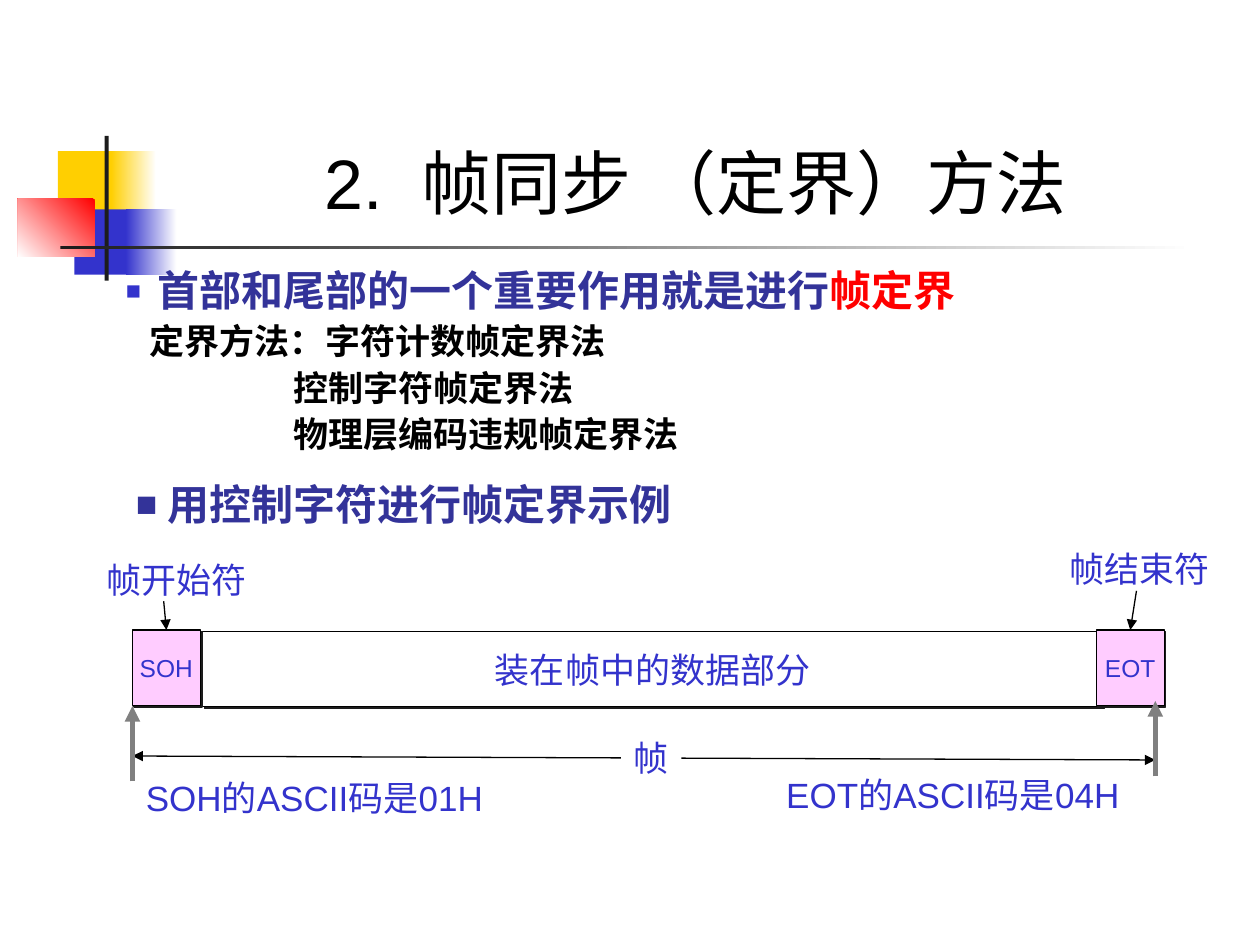
from dataclasses import dataclass

from lxml import etree
from pptx import Presentation
from pptx.dml.color import RGBColor
from pptx.enum.shapes import MSO_CONNECTOR, MSO_SHAPE
from pptx.enum.text import MSO_ANCHOR, MSO_AUTO_SIZE, PP_ALIGN
from pptx.oxml.ns import qn
from pptx.util import Cm, Pt

RECTANGLE = MSO_SHAPE.RECTANGLE
STRAIGHT = MSO_CONNECTOR.STRAIGHT
CENTER, LEFT = PP_ALIGN.CENTER, PP_ALIGN.LEFT
TOP, MIDDLE, BOTTOM = MSO_ANCHOR.TOP, MSO_ANCHOR.MIDDLE, MSO_ANCHOR.BOTTOM
NO_AUTOFIT = MSO_AUTO_SIZE.NONE
TOP_SIDE = 0
TITLE_ONLY = 5


@dataclass(frozen=True)
class Theme:
    black: str = "000000"
    white: str = "FFFFFF"
    dark: str = "1C1C1C"
    gray: str = "808080"
    blue: str = "3333CC"
    heading: str = "333399"
    red: str = "FF0000"
    yellow: str = "FFCF01"
    pink: str = "FFCCFF"
    label_font: str = "Arial"
    body_font: str = "Cabin"
    title_size: int = 40
    heading_size: int = 24
    label_size: int = 20
    code_size: int = 14


THEME = Theme()


def rgb(color):
    return RGBColor.from_string(color)


def assign(target, **formats):
    for key, value in formats.items():
        setattr(target, key, value)


def add_run(paragraph, text, color, size, font=THEME.label_font, bold=False):
    run = paragraph.add_run()
    run.text = text
    assign(run.font, name=font, size=Pt(size), bold=bold)
    run.font.color.rgb = rgb(color)


def add_block(slide, box, color, fade_angle=None):
    block = slide.shapes.add_shape(RECTANGLE, *map(Cm, box))
    block.shadow.inherit = False
    block.line.fill.background()
    if fade_angle is None:
        block.fill.solid()
        block.fill.fore_color.rgb = rgb(color)
    else:
        block.fill.gradient()
        block.fill.gradient_angle = fade_angle
        for stop, stop_color in zip(block.fill.gradient_stops, (color, THEME.white)):
            stop.color.rgb = rgb(stop_color)
    return block


def add_field(slide, box, text, color, size):
    field = add_block(slide, box, color)
    field.line.color.rgb = rgb(THEME.black)
    field.line.width = Pt(0.75)
    effects = field._element.spPr.find(qn("a:effectLst"))
    shadow = etree.SubElement(effects, qn("a:outerShdw"), dist=str(Pt(1.4)),
                              dir="2700000", algn="ctr", rotWithShape="0")
    etree.SubElement(shadow, qn("a:srgbClr"), val=THEME.dark)
    assign(field.text_frame, word_wrap=False, vertical_anchor=MIDDLE)
    paragraph = field.text_frame.paragraphs[0]
    paragraph.alignment = CENTER
    add_run(paragraph, text, THEME.blue, size)
    return field


def add_text_box(slide, box):
    text_box = slide.shapes.add_textbox(*map(Cm, box))
    assign(text_box.text_frame, word_wrap=True, vertical_anchor=TOP)
    return text_box


def add_label(slide, box, text):
    label = add_text_box(slide, box)
    label.text_frame.word_wrap = False
    label.text_frame.paragraphs[0].alignment = LEFT
    add_run(label.text_frame.paragraphs[0], text, THEME.blue, THEME.label_size)
    return label


def set_indent(paragraph, margin, hanging=0):
    properties = paragraph._p.get_or_add_pPr()
    properties.set("marL", str(Cm(margin)))
    properties.set("indent", str(-Cm(hanging)))
    return properties


def add_bullet(paragraph, color, percent):
    properties = set_indent(paragraph, 0.63, 0.63)
    bullet_color = etree.SubElement(properties, qn("a:buClr"))
    etree.SubElement(bullet_color, qn("a:srgbClr"), val=color)
    etree.SubElement(properties, qn("a:buSzPct"), val=str(percent * 1000))
    etree.SubElement(properties, qn("a:buFont"), typeface=THEME.label_font)
    etree.SubElement(properties, qn("a:buChar"), char="■")


def add_arrow(slide, start, end, color=THEME.black, width=0.75, ends=("tailEnd",)):
    arrow = slide.shapes.add_connector(STRAIGHT, *map(Cm, start + end))
    arrow.line.color.rgb = rgb(color)
    arrow.line.width = Pt(width)
    line = arrow.line._get_or_add_ln()
    for arrow_end in ends:
        etree.SubElement(line, qn(f"a:{arrow_end}"), type="triangle")
    etree.SubElement(arrow._element.spPr, qn("a:effectLst"))
    return arrow


def add_ornament(slide):
    add_block(slide, (1.17, 3.05, 1.22, 1.32), THEME.yellow)
    add_block(slide, (2.24, 3.05, 0.91, 1.32), THEME.yellow, 0)
    add_block(slide, (1.5, 4.22, 1.17, 1.32), THEME.blue)
    add_block(slide, (2.54, 4.22, 1.02, 1.32), THEME.blue, 0)
    add_block(slide, (0.36, 4.01, 1.55, 1.17), THEME.red, 225)
    add_block(slide, (2.11, 2.74, 0.08, 2.92), THEME.dark)
    add_block(slide, (1.22, 4.95, 22.86, 0.08), THEME.dark, 0)


def format_title(slide):
    title = slide.shapes.title
    assign(title, left=Cm(3.2), top=Cm(0.58), width=Cm(21.64), height=Cm(4.06))
    assign(title.text_frame, vertical_anchor=BOTTOM, word_wrap=True, auto_size=NO_AUTOFIT)
    paragraph = title.text_frame.paragraphs[0]
    paragraph.alignment = CENTER
    add_run(paragraph, "2.  帧同步 （定界）方法", THEME.black, THEME.title_size)


def add_methods(slide):
    frame = add_text_box(slide, (2.29, 5.33, 18.01, 3.99)).text_frame
    purpose = frame.paragraphs[0]
    assign(purpose, line_spacing=0.9, space_before=Pt(6))
    add_bullet(purpose, THEME.blue, 60)
    for text, color in (("首部和尾部的一个重要作用就是进行", THEME.heading), ("帧定界", THEME.red)):
        add_run(purpose, text, color, THEME.heading_size, THEME.body_font, True)
    methods = (("定界方法：字符计数帧定界法", 0.48),
               ("控制字符帧定界法", 3.37),
               ("物理层编码违规帧定界法", 3.37))
    for text, margin in methods:
        method = frame.add_paragraph()
        assign(method, line_spacing=0.9, space_before=Pt(5))
        set_indent(method, margin)
        add_run(method, text, THEME.black, THEME.label_size, THEME.body_font, True)


def add_example_heading(slide):
    heading = add_text_box(slide, (2.49, 9.53, 12.6, 1.27)).text_frame.paragraphs[0]
    add_bullet(heading, THEME.heading, 85)
    add_run(heading, "用控制字符进行帧定界示例", THEME.heading,
            THEME.heading_size, THEME.body_font, True)


def add_frame_diagram(slide):
    frame_start, frame_end = 2.67, 23.29
    add_field(slide, (4.09, 12.73, 18.14, 1.52), "装在帧中的数据部分",
              THEME.white, THEME.label_size)
    add_arrow(slide, (frame_start, 15.24), (frame_end, 15.32),
              ends=("headEnd", "tailEnd"))
    extent = add_label(slide, (12.52, 14.73, 1.22, 1.12), "帧")
    extent.fill.solid()
    extent.fill.fore_color.rgb = rgb(THEME.white)

    delimiters = (
        ("SOH", 2.67, "帧开始符", (1.9, 11.13, 3.61, 1.12), (3.3, 12.12),
         "SOH的ASCII码是01H", (2.69, 15.52, 9.8, 1.12), frame_start, 15.75),
        ("EOT", 22.1, "帧结束符", (21.31, 10.92, 3.33, 1.12), (22.91, 11.91),
         "EOT的ASCII码是04H", (15.6, 15.47, 9.8, 1.12), frame_end, 15.65),
    )
    for code, left, role, role_box, pointer_start, note, note_box, edge, base in delimiters:
        field = add_field(slide, (left, 12.7, 1.37, 1.52), code, THEME.pink, THEME.code_size)
        add_label(slide, role_box, role)
        pointer = add_arrow(slide, pointer_start, (left + 0.69, 12.7))
        pointer.end_connect(field, TOP_SIDE)
        add_label(slide, note_box, note)
        add_arrow(slide, (edge, base), (edge, base - 1.52), THEME.gray, 3)


def main():
    presentation = Presentation()
    assign(presentation, slide_width=Cm(25.4), slide_height=Cm(19.05))
    slide = presentation.slides.add_slide(presentation.slide_layouts[TITLE_ONLY])
    add_ornament(slide)
    format_title(slide)
    add_methods(slide)
    add_example_heading(slide)
    add_frame_diagram(slide)
    presentation.save("out.pptx")


if __name__ == "__main__":
    main()
